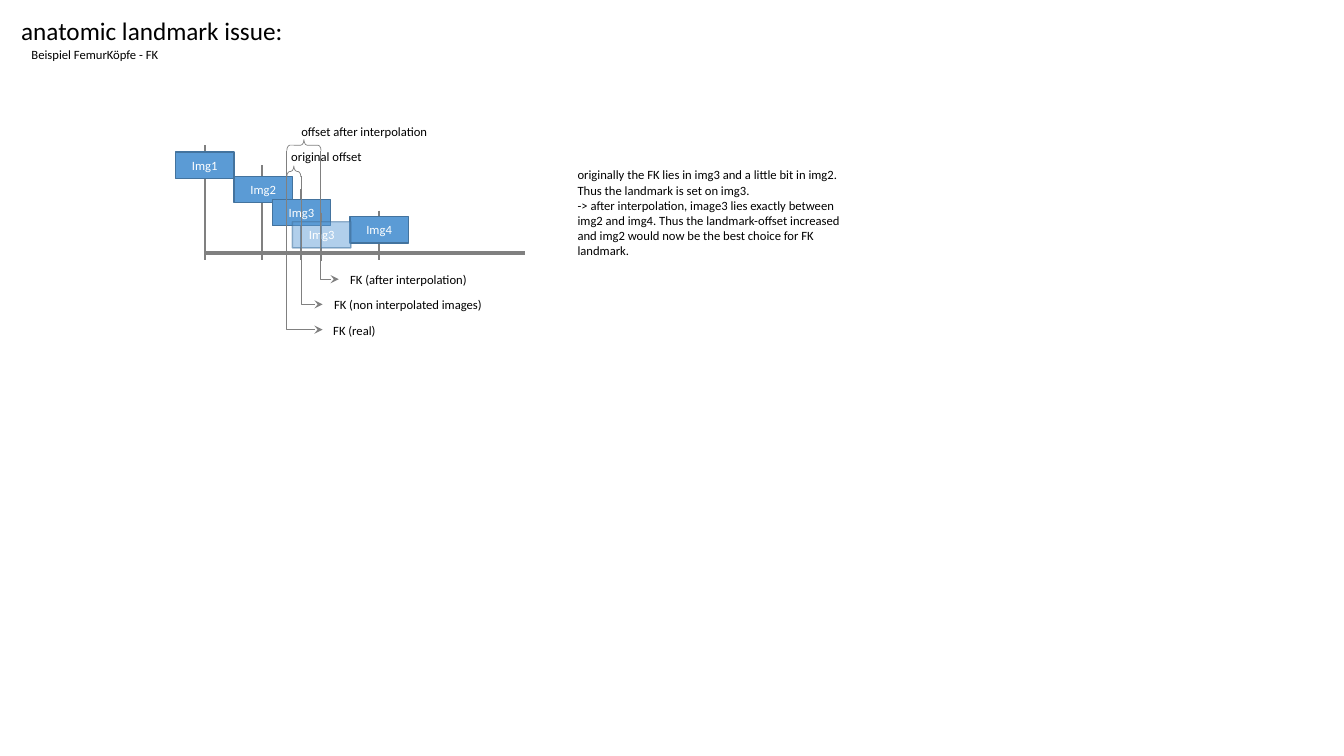
"""Build the slide on the anatomic landmark issue."""
from dataclasses import dataclass

from lxml import etree
from pptx import Presentation
from pptx import util as u
from pptx.dml.color import RGBColor
from pptx.enum import shapes, text
from pptx.oxml import ns

PX = 9144


@dataclass(frozen=True)
class Theme:
    """Colours, font and type sizes of the slide."""
    font: str = "Calibri"
    title: int = 18
    body: int = 9
    ink: str = "000000"
    paper: str = "FFFFFF"
    box: str = "5B9BD5"
    edge: str = "43739E"
    grey: str = "808080"


class Sketch:
    """Draws elements on one slide in one style."""

    def __init__(self, slide, theme):
        """Keep the slide and the theme."""
        self.s, self.t = slide, theme

    def emu(self, *px):
        """Turn px into EMU."""
        return [u.Emu(round(n * PX)) for n in px]

    def set_text(self, tf, lines, size, color, align):
        """Fill a text frame, one paragraph a line."""
        tf.text = "\n".join(lines)
        for p in tf.paragraphs:
            p.alignment = align
            p.font.name, p.font.size = self.t.font, u.Pt(size)
            p.font.color.rgb = RGBColor.from_string(color)

    def stroke(self, sp, color, width):
        """Set the outline of a shape or connector."""
        sp.line.color.rgb = RGBColor.from_string(color)
        sp.line.width = u.Pt(width)

    def title(self, box, words):
        """Place and format the title placeholder."""
        sp = self.s.shapes.title
        sp.left, sp.top, sp.width, sp.height = self.emu(*box)
        tf = sp.text_frame
        self.set_text(tf, [words], self.t.title, self.t.ink, text.PP_ALIGN.LEFT)
        tf.vertical_anchor = text.MSO_ANCHOR.TOP
        tf.word_wrap = False
        tf.auto_size = text.MSO_AUTO_SIZE.SHAPE_TO_FIT_TEXT

    def label(self, box, *lines, align=text.PP_ALIGN.LEFT, wrap=False):
        """Add a text box."""
        tf = self.s.shapes.add_textbox(*self.emu(*box)).text_frame
        self.set_text(tf, lines, self.t.body, self.t.ink, align)
        tf.word_wrap = wrap
        tf.auto_size = text.MSO_AUTO_SIZE.SHAPE_TO_FIT_TEXT

    def image_box(self, x, y, name, alphas=()):
        """Add a named image box, see-through if alphas for fill and line are given."""
        sp = self.s.shapes.add_shape(shapes.MSO_SHAPE.RECTANGLE, *self.emu(x, y, 58, 26))
        sp.shadow.inherit = False
        sp.fill.solid()
        sp.fill.fore_color.rgb = RGBColor.from_string(self.t.box)
        self.stroke(sp, self.t.edge, 1)
        for color, alpha in zip(sp.element.spPr.iter(ns.qn("a:srgbClr")), alphas):
            etree.SubElement(color, ns.qn("a:alpha"), val=str(alpha * 1000))
        tf = sp.text_frame
        tf.vertical_anchor = text.MSO_ANCHOR.MIDDLE
        self.set_text(tf, [name], self.t.body, self.t.paper, text.PP_ALIGN.CENTER)

    def brace(self, box):
        """Add a brace that points up."""
        sp = self.s.shapes.add_shape(shapes.MSO_SHAPE.RIGHT_BRACE, *self.emu(*box))
        sp.shadow.inherit = False
        sp.rotation = 270
        sp.adjustments[0] = 0.28
        sp.fill.background()
        self.stroke(sp, self.t.grey, 0.5)

    def line(self, x1, y1, x2, y2, width=1.5, kind=shapes.MSO_CONNECTOR.STRAIGHT):
        """Add a connector without shadow."""
        c = self.s.shapes.add_connector(kind, *self.emu(x1, y1, x2, y2))
        self.stroke(c, self.t.grey, width)
        etree.SubElement(c.element.spPr, ns.qn("a:effectLst"))
        return c

    def bent_arrow(self, x1, y1, x2, y2):
        """Add an arrow that runs down and then right."""
        cx, cy = (x1 + x2) / 2, (y1 + y2) / 2
        w, h = y2 - y1, x2 - x1
        c = self.line(cx + w / 2, cy - h / 2, cx - w / 2, cy + h / 2,
                      0.5, shapes.MSO_CONNECTOR.ELBOW)
        spPr = c.element.spPr
        spPr.find(ns.qn("a:xfrm")).set("rot", "16200000")
        spPr.find(ns.qn("a:prstGeom")).set("prst", "bentConnector2")
        etree.SubElement(spPr.find(ns.qn("a:ln")), ns.qn("a:tailEnd"), type="stealth")


def main():
    """Draw the slide and save it."""
    prs = Presentation()
    prs.slide_width, prs.slide_height = u.Emu(1333 * PX), u.Emu(750 * PX)
    d = Sketch(prs.slides.add_slide(prs.slide_layouts[5]), Theme())
    center = text.PP_ALIGN.CENTER

    d.title((11, 10, 282, 40), "anatomic landmark issue:")
    d.label((20, 42, 148, 25), "Beispiel FemurKöpfe - FK", align=center)

    d.line(203, 251, 521, 251, 3)
    for x, top in ((203, 144), (260, 164), (299, 188), (376, 209)):
        d.line(x, top, x, 258)
    for n, (x, y) in enumerate(((174, 151), (232, 175), (270, 198), (347, 215)), 1):
        d.image_box(x, y, f"Img{n}")
    d.line(318, 211, 318, 259)
    d.image_box(290, 220, "Img3", (47, 53))

    for x1, y1, x2, y2, left, width, words in (
            (318, 150, 336, 277, 336, 138, "FK (after interpolation)"),
            (299, 175, 320, 302, 320, 169, "FK (non interpolated images)"),
            (284, 150, 320, 327, 320, 63, "FK (real)")):
        d.bent_arrow(x1, y1, x2, y2)
        d.label((left, y2 - 12, width, 25), words, align=center)

    d.label((563, 161, 288, 101),
            "originally the FK lies in img3 and a little bit in img2. "
            "Thus the landmark is set on img3.",
            "-> after interpolation, image3 lies exactly between img2 and img4. "
            "Thus the landmark-offset increased and img2 would now be "
            "the best choice for FK landmark.", wrap=True)

    d.brace((286, 163, 11, 14))
    d.brace((296, 127, 11, 34))
    d.label((279, 143, 91, 25), "original offset")
    d.label((289, 118, 148, 25), "offset after interpolation")
    prs.save("out.pptx")


if __name__ == "__main__":
    main()
